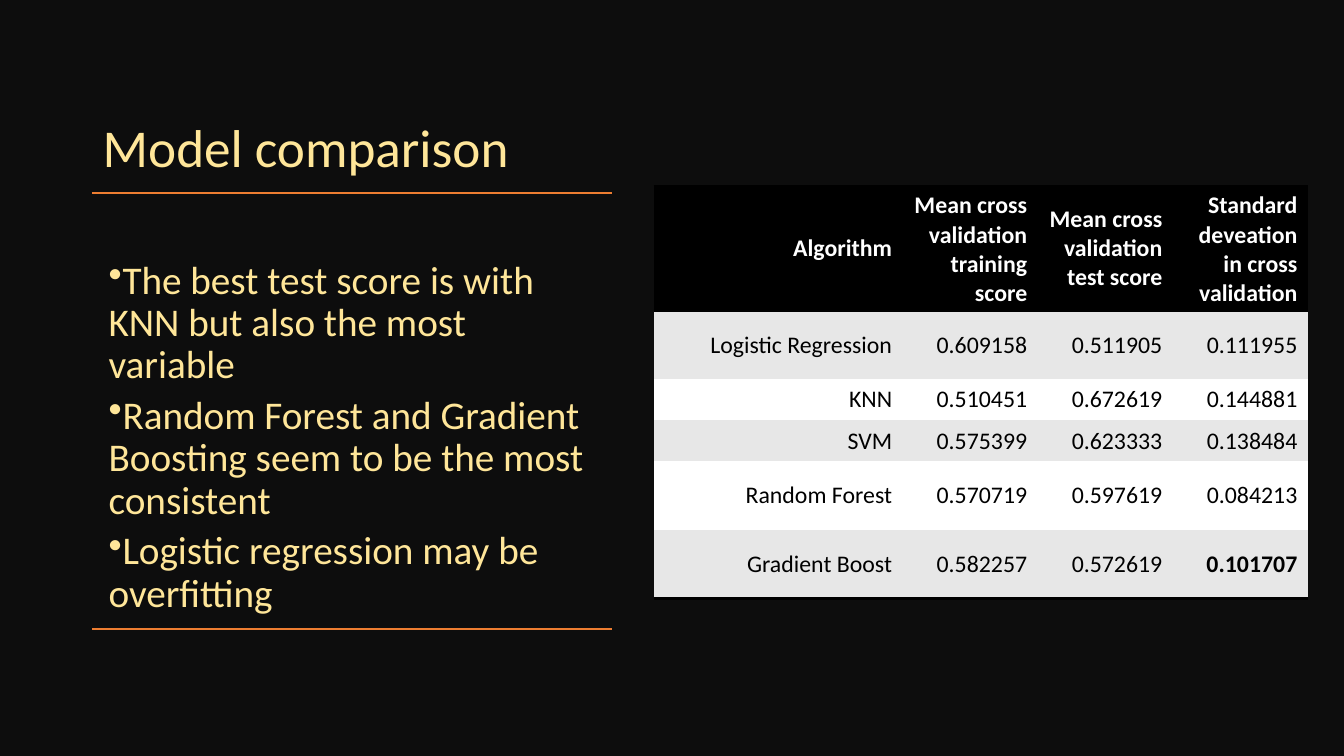
from dataclasses import dataclass

from lxml import etree
from pptx import Presentation
from pptx.dml.color import RGBColor
from pptx.enum.shapes import MSO_CONNECTOR as Connector, MSO_SHAPE as Shape
from pptx.enum.text import MSO_ANCHOR as Anchor, MSO_AUTO_SIZE as AutoSize, PP_ALIGN as Align
from pptx.oxml import parse_xml
from pptx.oxml.ns import nsdecls, qn
from pptx.util import Pt


@dataclass(frozen=True)
class Theme:
    font: str = "Calibri"
    background: str = "0D0D0D"
    text: str = "FFE699"
    rule: str = "ED7D31"
    black: str = "000000"
    white: str = "FFFFFF"
    band: str = "E7E7E7"
    title_size: float = 38
    body_size: float = 28
    table_size: float = 17


THEME = Theme()
SLIDE_WIDTH, SLIDE_HEIGHT = 960, 540
NO_STYLE = "{2D5ABB26-0587-4C30-8999-92F81FD0307C}"

FINDINGS = [
    "The best test score is with KNN but also the most variable",
    "Random Forest and Gradient Boosting seem to be the most consistent",
    "Logistic regression may be overfitting",
]
HEADINGS = [
    "Algorithm",
    "Mean cross validation training score",
    "Mean cross validation test score",
    "Standard deveation in cross validation",
]
SCORES = [
    ("Logistic Regression", "0.609158", "0.511905", "0.111955"),
    ("KNN", "0.510451", "0.672619", "0.144881"),
    ("SVM", "0.575399", "0.623333", "0.138484"),
    ("Random Forest", "0.570719", "0.597619", "0.084213"),
    ("Gradient Boost", "0.582257", "0.572619", "0.101707"),
]
COLUMN_WIDTHS = [20, 157.7, 96.5, 96.5, 96.5]
ROW_HEIGHTS = [69, 49, 29.4, 29.4, 49, 49]


def rgb(value):
    return RGBColor.from_string(value)


def write(paragraph, text, size, color, bold=False, align=Align.LEFT,
          line_spacing=None, space_after=None):
    paragraph.alignment = align
    paragraph.line_spacing = line_spacing
    if space_after is not None:
        paragraph.space_after = Pt(space_after)
    run = paragraph.add_run()
    run.text = text
    font = run.font
    font.name, font.size, font.bold = THEME.font, Pt(size), bold
    font.color.rgb = rgb(color)


def add_backdrop(slide):
    """Cover the slide with a dark rectangle behind the title."""
    backdrop = slide.shapes.add_shape(Shape.RECTANGLE, 0, 0, Pt(SLIDE_WIDTH), Pt(SLIDE_HEIGHT))
    backdrop.shadow.inherit = False
    backdrop.fill.solid()
    backdrop.fill.fore_color.rgb = rgb(THEME.background)
    backdrop.line.fill.background()
    slide.shapes.title.element.addprevious(backdrop.element)


def add_rule(slide, left, top, width):
    rule = slide.shapes.add_connector(
        Connector.STRAIGHT, Pt(left + width), Pt(top), Pt(left), Pt(top))
    rule.line.color.rgb = rgb(THEME.rule)
    rule.line.width = Pt(1)
    etree.SubElement(rule.element.spPr, qn("a:effectLst"))


def add_bullet(paragraph):
    properties = paragraph._p.get_or_add_pPr()
    properties.set("marL", "0")
    properties.set("indent", str(-Pt(18)))
    etree.SubElement(properties, qn("a:buChar"), char="•")


def add_findings(slide, left, top, width, height):
    """Place the title and bullets, each closed by a rule, in the box."""
    title = slide.shapes.title
    title.left, title.top, title.width, title.height = (
        Pt(left + 0.7), Pt(top), Pt(width - 1), Pt(96.5))
    title.text_frame.auto_size = AutoSize.NONE
    title.text_frame.vertical_anchor = Anchor.BOTTOM
    write(title.text_frame.paragraphs[0], "Model comparison", THEME.title_size,
          THEME.text, line_spacing=0.9)

    add_rule(slide, left, top + 102.5, width)
    body = slide.shapes.add_textbox(
        Pt(left + 5), Pt(top + 147), Pt(width - 10), Pt(255.6)).text_frame
    body.word_wrap = True
    for index, finding in enumerate(FINDINGS):
        paragraph = body.add_paragraph() if index else body.paragraphs[0]
        add_bullet(paragraph)
        write(paragraph, finding, THEME.body_size, THEME.text,
              line_spacing=0.9, space_after=6)
    add_rule(slide, left, top + height, width)


def add_borders(cell, sides):
    """Draw black borders on the given sides, ordered T then B."""
    properties = cell._tc.get_or_add_tcPr()
    for position, side in enumerate(sides):
        properties.insert(position, parse_xml(
            f'<a:ln{side} {nsdecls("a")} w="{Pt(2)}"><a:solidFill>'
            f'<a:srgbClr val="{THEME.black}"/></a:solidFill></a:ln{side}>'))


def add_scores(slide, left, top):
    rows = [HEADINGS, *SCORES]
    last_row, last_column = len(rows) - 1, len(COLUMN_WIDTHS) - 1
    table = slide.shapes.add_table(
        len(rows), len(COLUMN_WIDTHS), Pt(left), Pt(top),
        Pt(sum(COLUMN_WIDTHS)), Pt(sum(ROW_HEIGHTS))).table
    table.first_row = table.horz_banding = False
    table._tbl.tblPr.find(qn("a:tableStyleId")).text = NO_STYLE
    for column, width in zip(table.columns, COLUMN_WIDTHS):
        column.width = Pt(width)
    for row_index, (values, height) in enumerate(zip(rows, ROW_HEIGHTS)):
        table.rows[row_index].height = Pt(height)
        is_header, is_last = row_index == 0, row_index == last_row
        fill = THEME.black if is_header else THEME.band if row_index % 2 else THEME.white
        for column_index, value in enumerate(["", *values]):
            cell = table.cell(row_index, column_index)
            cell.vertical_anchor = Anchor.MIDDLE
            cell.fill.solid()
            cell.fill.fore_color.rgb = rgb(fill)
            add_borders(cell, "TB" if is_header else "B" if is_last else "")
            if value:
                write(cell.text_frame.paragraphs[0], value, THEME.table_size,
                      THEME.white if is_header else THEME.black,
                      bold=is_header or (is_last and column_index == last_column),
                      align=Align.RIGHT)


def main():
    presentation = Presentation()
    presentation.slide_width, presentation.slide_height = Pt(SLIDE_WIDTH), Pt(SLIDE_HEIGHT)
    slide = presentation.slides.add_slide(presentation.slide_layouts.get_by_name("Title Only"))
    add_backdrop(slide)
    add_findings(slide, left=65.5, top=35.3, width=371.5, height=414)
    add_scores(slide, left=466.8, top=133)
    presentation.save("out.pptx")


if __name__ == "__main__":
    main()
